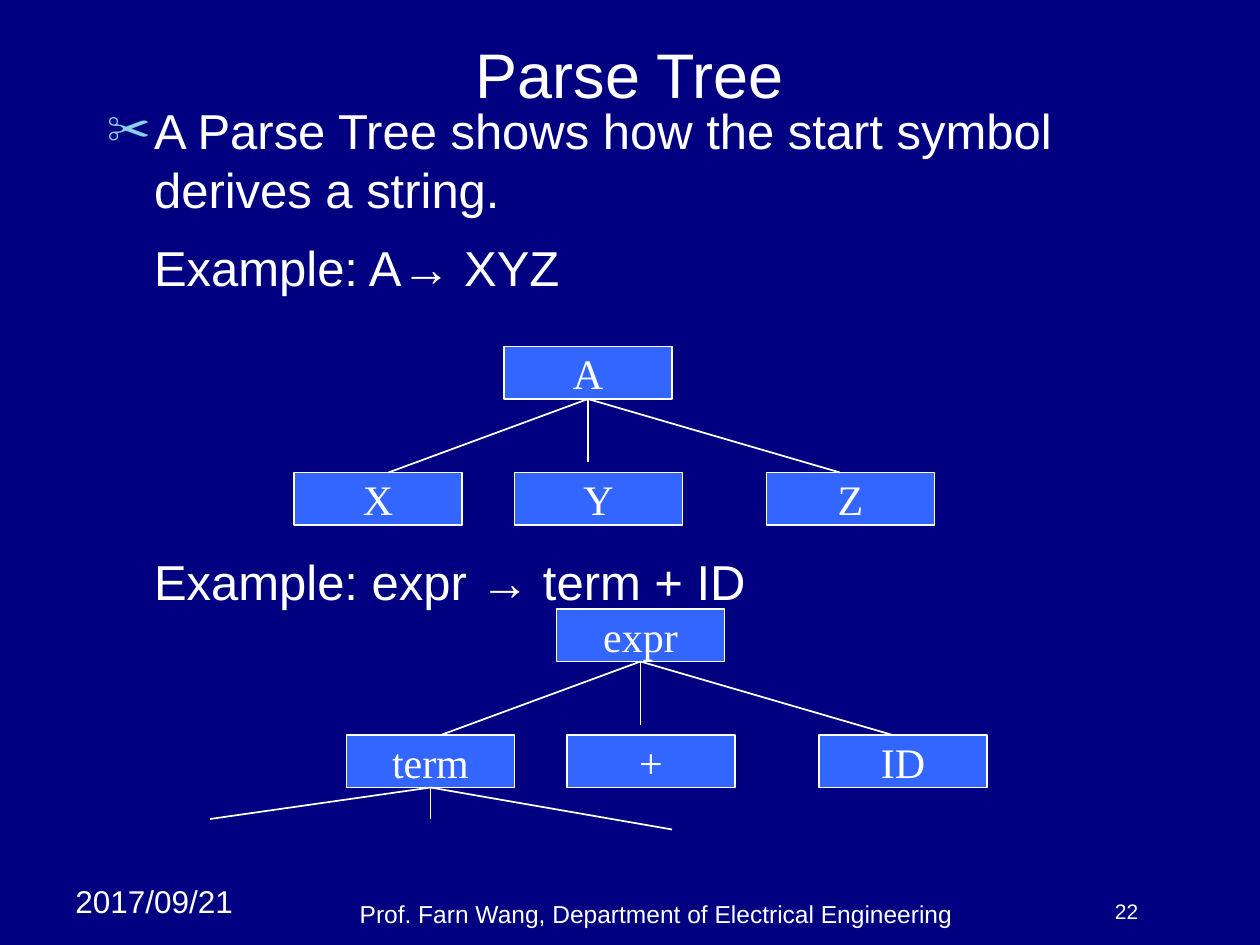
from dataclasses import dataclass
from typing import NamedTuple

from lxml import etree
from pptx import Presentation
from pptx.dml.color import RGBColor
from pptx.enum import shapes, text
from pptx.oxml.ns import qn
from pptx.util import Pt


@dataclass(frozen=True)
class Theme:
    background: RGBColor = RGBColor(0x00, 0x00, 0x80)
    node_fill: RGBColor = RGBColor(0x33, 0x66, 0xFF)
    ink: RGBColor = RGBColor(0xFF, 0xFF, 0xFF)
    bullet: str = "86D1EC"
    sans: str = "Arial"
    serif: str = "Times New Roman"
    title: float = 36
    body: float = 28
    node: float = 24
    date: float = 18
    footer: float = 14
    number: float = 12
    line: float = 1


class Box(NamedTuple):
    left: float
    top: float
    width: float
    height: float


class Offset(NamedTuple):
    dx: float
    dy: float


class Tree(NamedTuple):
    left: float
    top: float
    root: str
    children: tuple[str, str, str]


THEME = Theme()
NODE_WIDTH, NODE_HEIGHT = 96, 30
CHILD_OFFSETS = (Offset(-120, 72), Offset(6, 72), Offset(150, 72))
BRANCHES = (Offset(-114, 42), Offset(0, 36), Offset(144, 42))
TERM_BRANCHES = (Offset(-126, 18), Offset(0, 18), Offset(138, 24))
HANGING = 27
LEFT, CENTER = text.PP_ALIGN.LEFT, text.PP_ALIGN.CENTER
TOP, MIDDLE, BOTTOM = (text.MSO_ANCHOR.TOP, text.MSO_ANCHOR.MIDDLE,
                       text.MSO_ANCHOR.BOTTOM)


def write(paragraph, words: str, *, size: float, font: str = THEME.sans,
          align=LEFT, before: float = 0) -> None:
    paragraph.text = words
    paragraph.alignment = align
    paragraph.space_before = Pt(before)
    paragraph.font.size = Pt(size)
    paragraph.font.name = font
    paragraph.font.color.rgb = THEME.ink


def add_frame(slide, box: Box, anchor=TOP):
    frame = slide.shapes.add_textbox(*map(Pt, box)).text_frame
    frame.word_wrap = True
    frame.vertical_anchor = anchor
    return frame


def indent(paragraph, bullet: str = "") -> None:
    """Indent a paragraph, hanging a bullet in the margin if one is given."""
    properties = paragraph._p.get_or_add_pPr()
    properties.set("marL", str(Pt(HANGING)))
    properties.set("indent", str(-Pt(HANGING) if bullet else 0))
    if bullet:
        colour = etree.SubElement(properties, qn("a:buClr"))
        etree.SubElement(colour, qn("a:srgbClr"), val=THEME.bullet)
        etree.SubElement(properties, qn("a:buSzPct"), val="90000")
        etree.SubElement(properties, qn("a:buFont"), typeface=THEME.serif)
        etree.SubElement(properties, qn("a:buChar"), char=bullet)


def add_node(slide, label: str, left: float, top: float):
    node = slide.shapes.add_shape(
        shapes.MSO_SHAPE.RECTANGLE,
        *map(Pt, (left, top, NODE_WIDTH, NODE_HEIGHT)))
    node.shadow.inherit = False
    node.fill.solid()
    node.fill.fore_color.rgb = THEME.node_fill
    node.line.color.rgb = THEME.ink
    node.line.width = Pt(THEME.line)
    node.text_frame.word_wrap = False
    node.text_frame.vertical_anchor = MIDDLE
    write(node.text_frame.paragraphs[0], label, size=THEME.node,
          font=THEME.serif, align=CENTER)
    return node


def add_branches(slide, parent, offsets: tuple[Offset, ...]) -> None:
    """Draw lines from the bottom middle of the parent node."""
    x, y = parent.left + parent.width // 2, parent.top + parent.height
    for offset in offsets:
        branch = slide.shapes.add_connector(
            shapes.MSO_CONNECTOR.STRAIGHT, x, y,
            x + Pt(offset.dx), y + Pt(offset.dy))
        branch.begin_connect(parent, 2)
        branch.line.color.rgb = THEME.ink
        branch.line.width = Pt(THEME.line)
        etree.SubElement(branch._element.spPr, qn("a:effectLst"))


def add_tree(slide, tree: Tree) -> list:
    """Draw a root with its children and return the child nodes."""
    root = add_node(slide, tree.root, tree.left, tree.top)
    children = [add_node(slide, label, tree.left + offset.dx, tree.top + offset.dy)
                for label, offset in zip(tree.children, CHILD_OFFSETS)]
    add_branches(slide, root, BRANCHES)
    return children


def add_body(slide) -> None:
    body = add_frame(slide, Box(54, 54, 612, 420))
    lines = (
        ("A Parse Tree shows how the start symbol derives a string.", "✂", 0),
        ("Example: A→ XYZ", "", 11),
        ("Example: expr → term + ID", "", 145.5),
    )
    for index, (words, bullet, before) in enumerate(lines):
        paragraph = body.add_paragraph() if index else body.paragraphs[0]
        indent(paragraph, bullet)
        write(paragraph, words, size=THEME.body, before=before)


def main() -> None:
    deck = Presentation()
    deck.slide_width, deck.slide_height = Pt(720), Pt(540)
    slide = deck.slides.add_slide(deck.slide_layouts[6])
    slide.background.fill.solid()
    slide.background.fill.fore_color.rgb = THEME.background

    captions = (
        ("2017/09/21", Box(36, 500.4, 114, 29), THEME.date, LEFT, TOP),
        ("Prof. Farn Wang, Department of Electrical Engineering",
         Box(132, 510, 486, 24), THEME.footer, CENTER, BOTTOM),
        ("22", Box(630, 510, 48, 24), THEME.number, LEFT, TOP),
        ("Parse Tree", Box(54, 18, 612, 48), THEME.title, CENTER, MIDDLE),
    )
    for words, box, size, align, anchor in captions:
        frame = add_frame(slide, box, anchor)
        write(frame.paragraphs[0], words, size=size, align=align)

    add_body(slide)
    add_tree(slide, Tree(288, 198, "A", ("X", "Y", "Z")))
    term, *_ = add_tree(slide, Tree(318, 348, "expr", ("term", "+", "ID")))
    add_branches(slide, term, TERM_BRANCHES)
    deck.save("out.pptx")


if __name__ == "__main__":
    main()
